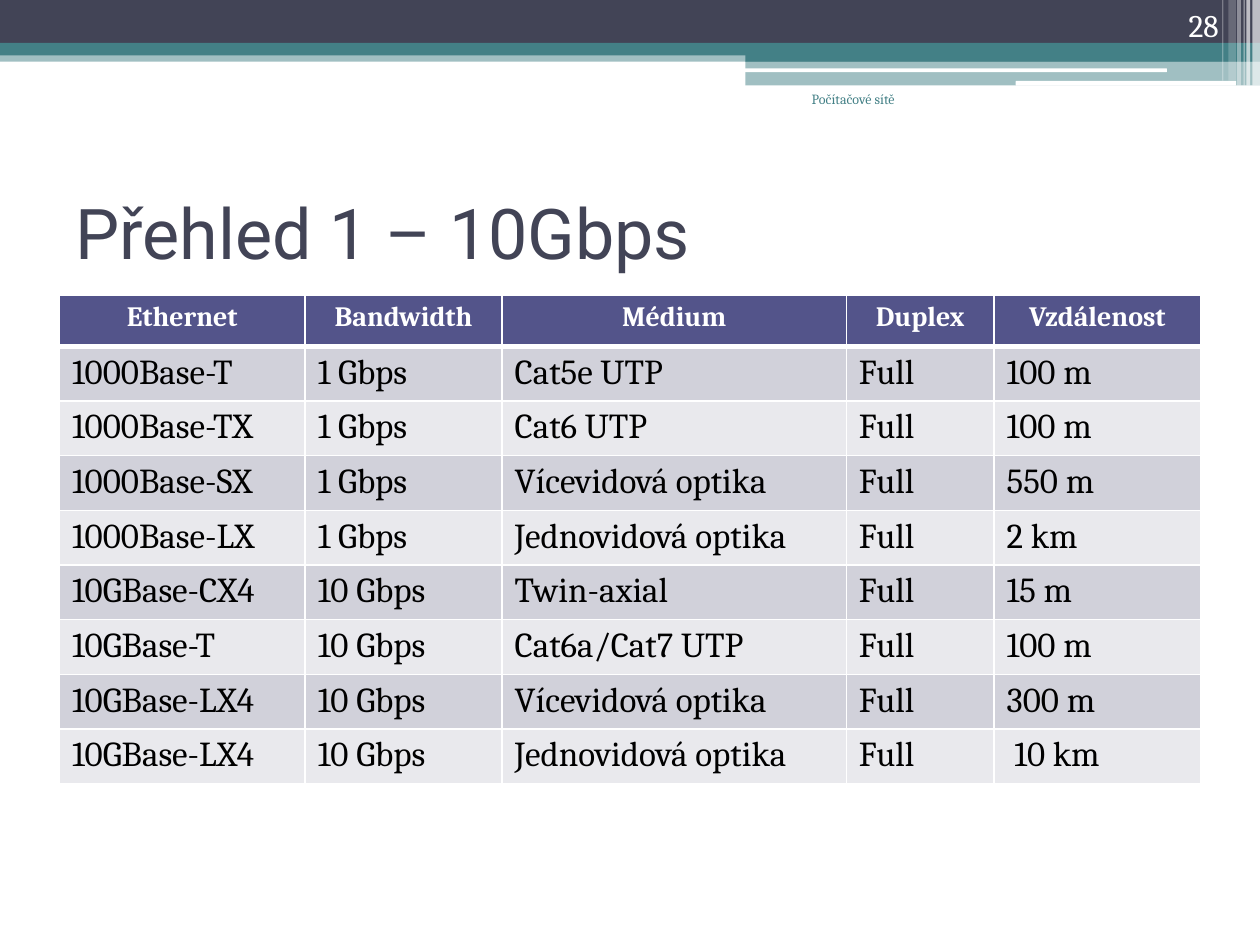
from dataclasses import dataclass

from lxml.etree import SubElement
from pptx import Presentation
from pptx.dml.color import RGBColor
from pptx.enum.shapes import MSO_SHAPE as Preset
from pptx.enum.text import MSO_ANCHOR as Anchor, MSO_AUTO_SIZE as AutoSize, PP_ALIGN as Align
from pptx.oxml import parse_xml
from pptx.oxml.ns import nsdecls, qn
from pptx.util import Pt

COLORS = {
    "navy": "424456",
    "teal": "438086",
    "white": "FFFFFF",
    "black": "000000",
    "header": "53548A",
    "odd": "D1D1DA",
    "even": "E9E9ED",
}
BODY_FONT = "Cambria"
TITLE_FONT = "Roboto"


@dataclass
class Bar:
    left: float
    top: float
    width: float
    height: float
    color: str
    opacity: int = 100
    rounded: bool = False


@dataclass
class Label:
    text: str
    left: float
    top: float
    width: float
    height: float
    size: float
    color: str
    anchor: Anchor


BARS = [
    # Bands across the top
    Bar(0, 28.8, 720, 6.48, "teal", 50),
    Bar(0, 0, 720, 24.48, "navy"),
    Bar(0, 24.48, 720, 7.2, "teal"),
    # Step on the right with white cut-outs
    Bar(426, 28, 294, 7.2, "teal"),
    Bar(426, 34.8, 294, 14.04, "teal", 50),
    Bar(425.6, 39.1, 241.2, 2.16, "white", rounded=True),
    Bar(580.4, 46.2, 126, 2.7, "white", rounded=True),
    # Pale vertical stripes in the corner
    Bar(715.6, 0, 4.4, 48.9, "white", 65),
    Bar(712.2, 0, 2.16, 48.9, "white", 65),
    Bar(710.6, 0, 0.72, 48.9, "white", 60),
    Bar(707, 0, 2.16, 48.9, "white", 40),
    Bar(702, 0, 4.3, 46.1, "white", 20),
    Bar(698.4, 0, 0.72, 46.1, "white", 30),
]

LABELS = [
    Label("Počítačové sítě", 414, 48.2, 104.4, 36, 8, "teal", Anchor.TOP),
    Label("28", 643.7, 0, 59.8, 28.8, 18, "white", Anchor.BOTTOM),
]

COLUMN_WIDTHS = [140.4, 112.5, 196.8, 84.4, 118.1]
ROW_HEIGHT = 29.2
ROWS = [
    ("Ethernet", "Bandwidth", "Médium", "Duplex", "Vzdálenost"),
    ("1000Base-T", "1 Gbps", "Cat5e UTP", "Full", "100 m"),
    ("1000Base-TX", "1 Gbps", "Cat6 UTP", "Full", "100 m"),
    ("1000Base-SX", "1 Gbps", "Vícevidová optika", "Full", "550 m"),
    ("1000Base-LX", "1 Gbps", "Jednovidová optika", "Full", "2 km"),
    ("10GBase-CX4", "10 Gbps", "Twin-axial", "Full", "15 m"),
    ("10GBase-T", "10 Gbps", "Cat6a/Cat7 UTP", "Full", "100 m"),
    ("10GBase-LX4", "10 Gbps", "Vícevidová optika", "Full", "300 m"),
    ("10GBase-LX4", "10 Gbps", "Jednovidová optika", "Full", " 10 km"),
]


def rgb(name: str) -> RGBColor:
    return RGBColor.from_string(COLORS[name])


def format_text(text_frame, size: float, color: str, align: Align,
                font_name: str = BODY_FONT, bold: bool = False) -> None:
    for paragraph in text_frame.paragraphs:
        paragraph.alignment = align
        for run in paragraph.runs:
            run.font.name = font_name
            run.font.size = Pt(size)
            run.font.bold = bold
            run.font.color.rgb = rgb(color)


def add_bar(slide, bar: Bar) -> None:
    preset = Preset.ROUNDED_RECTANGLE if bar.rounded else Preset.RECTANGLE
    shape = slide.shapes.add_shape(
        preset, Pt(bar.left), Pt(bar.top), Pt(bar.width), Pt(bar.height))
    shape.shadow.inherit = False
    shape.line.fill.background()
    shape.fill.solid()
    shape.fill.fore_color.rgb = rgb(bar.color)
    if bar.opacity < 100:
        color_element = shape.fill._xPr.find(f".//{qn('a:srgbClr')}")
        SubElement(color_element, qn("a:alpha"), val=str(bar.opacity * 1000))


def add_label(slide, label: Label) -> None:
    shape = slide.shapes.add_textbox(
        Pt(label.left), Pt(label.top), Pt(label.width), Pt(label.height))
    text_frame = shape.text_frame
    text_frame.word_wrap = True
    text_frame.vertical_anchor = label.anchor
    text_frame.text = label.text
    format_text(text_frame, label.size, label.color, Align.RIGHT)


def set_title(slide, text: str) -> None:
    title = slide.shapes.title
    title.left, title.top, title.width, title.height = Pt(36), Pt(90), Pt(648), Pt(84.2)
    text_frame = title.text_frame
    text_frame.text = text
    text_frame.auto_size = AutoSize.NONE
    text_frame.vertical_anchor = Anchor.MIDDLE
    format_text(text_frame, 40, "navy", Align.LEFT, TITLE_FONT)


def set_borders(cell, top: float, bottom: float) -> None:
    properties = cell._tc.get_or_add_tcPr()
    widths = {"lnL": 1, "lnR": 1, "lnT": top, "lnB": bottom}
    for index, (tag, width) in enumerate(widths.items()):
        properties.insert(index, parse_xml(
            f'<a:{tag} {nsdecls("a")} w="{Pt(width)}"><a:solidFill>'
            f'<a:srgbClr val="{COLORS["white"]}"/></a:solidFill></a:{tag}>'))


def add_overview_table(slide) -> None:
    frame = slide.shapes.add_table(
        len(ROWS), len(COLUMN_WIDTHS), Pt(34), Pt(168.7),
        Pt(sum(COLUMN_WIDTHS)), Pt(ROW_HEIGHT * len(ROWS)))
    table = frame.table
    for column, width in zip(table.columns, COLUMN_WIDTHS):
        column.width = Pt(width)
    for row_index, values in enumerate(ROWS):
        table.rows[row_index].height = Pt(ROW_HEIGHT)
        is_header = row_index == 0
        fill = "header" if is_header else "odd" if row_index % 2 else "even"
        for column_index, value in enumerate(values):
            cell = table.cell(row_index, column_index)
            cell.text_frame.text = value
            cell.fill.solid()
            cell.fill.fore_color.rgb = rgb(fill)
            # A thick rule separates the header from the body
            set_borders(cell, 3 if row_index == 1 else 1, 3 if is_header else 1)
            if is_header:
                format_text(cell.text_frame, 16, "white", Align.CENTER, bold=True)
            else:
                format_text(cell.text_frame, 20, "black", Align.LEFT)


def main() -> None:
    presentation = Presentation()
    presentation.slide_width, presentation.slide_height = Pt(720), Pt(540)
    slide = presentation.slides.add_slide(presentation.slide_layouts[5])

    for bar in BARS:
        add_bar(slide, bar)
    set_title(slide, "Přehled 1 – 10Gbps")
    for label in LABELS:
        add_label(slide, label)
    add_overview_table(slide)

    presentation.save("out.pptx")


if __name__ == "__main__":
    main()
